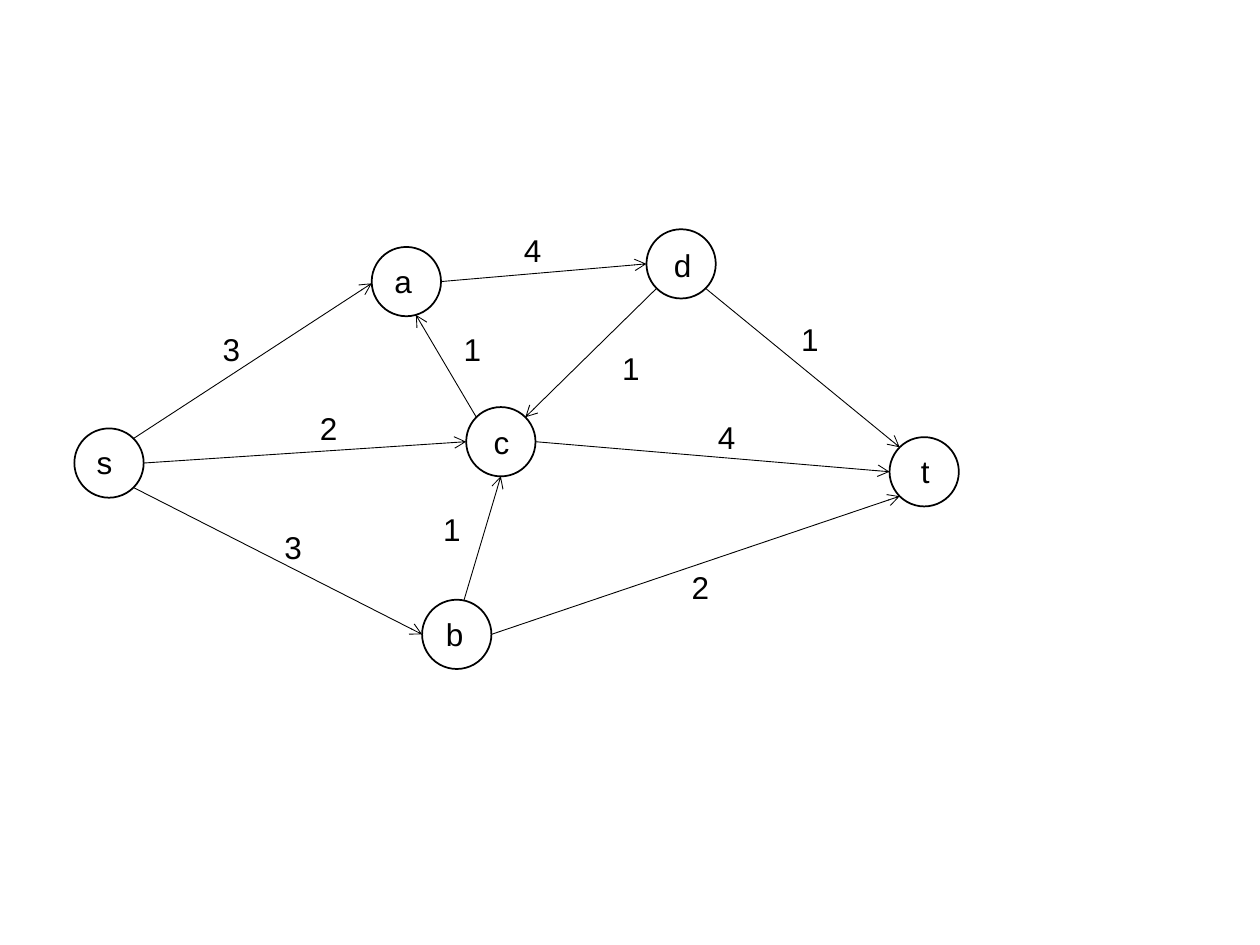
from dataclasses import dataclass
from math import cos, radians, sin

from lxml import etree
from pptx import Presentation
from pptx.dml.color import RGBColor
from pptx.enum import shapes, text
from pptx.oxml.ns import qn
from pptx.util import Pt

BLACK = RGBColor(0, 0, 0)
WHITE = RGBColor(255, 255, 255)
RADIUS = 19.8
LABEL_HEIGHT = 28.8


@dataclass(frozen=True)
class Node:
    x: float
    y: float
    label_left: float
    label_top: float
    label_width: float

    def rim(self, angle: float) -> tuple[float, float]:
        return (self.x + RADIUS * cos(radians(angle)),
                self.y + RADIUS * sin(radians(angle)))


@dataclass(frozen=True)
class Edge:
    start: str
    start_angle: float
    end: str
    end_angle: float
    weight: str
    label_left: float
    label_top: float
    label_width: float = 48.2


NODES = {
    "s": Node(62.3, 264.6, 48.2, 249.8, 28.1),
    "a": Node(232.2, 160.9, 218.2, 146.2, 28.1),
    "b": Node(261, 362.5, 247.7, 347.8, 26.6),
    "c": Node(286.2, 252.4, 275, 238.3, 21.6),
    "d": Node(389.2, 150.8, 378, 136.8, 23),
    "t": Node(528.1, 269.6, 519.1, 254.9, 18.7),
}

EDGES = [
    Edge("s", -45, "a", 177, "3", 120.2, 185),
    Edge("s", 0, "c", 180, "2", 175.7, 230.4),
    Edge("s", 45, "b", 180, "3", 155.5, 298.1),
    Edge("a", 0, "d", 180, "4", 292.3, 128.2),
    Edge("c", -135, "a", 74, "1", 257.8, 185),
    Edge("d", 135, "c", -45, "1", 348.5, 195.8),
    Edge("b", -78, "c", 90, "1", 246.2, 288),
    Edge("c", 0, "t", 180, "4", 403.2, 235.4),
    Edge("d", 45, "t", -135, "1", 450.7, 179.3, 66.2),
    Edge("b", 0, "t", 135, "2", 388.1, 321.1),
]


def add_text(slide, content: str, *, left: float, top: float, width: float,
             size: float = 18, font: str = "Arial", color: RGBColor = BLACK) -> None:
    box = slide.shapes.add_textbox(Pt(left), Pt(top), Pt(width), Pt(LABEL_HEIGHT))
    frame = box.text_frame
    frame.word_wrap = True
    frame.auto_size = text.MSO_AUTO_SIZE.SHAPE_TO_FIT_TEXT
    run = frame.paragraphs[0].add_run()
    run.text = content
    run.font.size = Pt(size)
    run.font.name = font
    run.font.color.rgb = color


def draw_node(slide, node: Node) -> None:
    circle = slide.shapes.add_shape(
        shapes.MSO_SHAPE.OVAL, Pt(node.x - RADIUS), Pt(node.y - RADIUS),
        Pt(2 * RADIUS), Pt(2 * RADIUS))
    circle.shadow.inherit = False
    circle.fill.solid()
    circle.fill.fore_color.rgb = WHITE
    circle.line.color.rgb = BLACK
    circle.line.width = Pt(1)


def draw_edge(slide, edge: Edge) -> None:
    start = NODES[edge.start].rim(edge.start_angle)
    end = NODES[edge.end].rim(edge.end_angle)
    arrow = slide.shapes.add_connector(
        shapes.MSO_CONNECTOR.STRAIGHT, *(Pt(value) for value in start + end))
    arrow.line.color.rgb = BLACK
    arrow.line.width = Pt(0.5)
    etree.SubElement(arrow.line._get_or_add_ln(), qn("a:tailEnd"), type="arrow")
    etree.SubElement(arrow._element.spPr, qn("a:effectLst"))


def add_label(slide, content: str, owner: Node | Edge) -> None:
    add_text(slide, content, left=owner.label_left, top=owner.label_top,
             width=owner.label_width)


def main() -> None:
    presentation = Presentation()
    presentation.slide_width = Pt(720)
    presentation.slide_height = Pt(540)
    slide = presentation.slides.add_slide(presentation.slide_layouts[6])
    for node in NODES.values():
        draw_node(slide, node)
    for edge in EDGES:
        draw_edge(slide, edge)
    for name, node in NODES.items():
        add_label(slide, name, node)
    for edge in EDGES:
        add_label(slide, edge.weight, edge)
    presentation.save("out.pptx")


if __name__ == "__main__":
    main()
